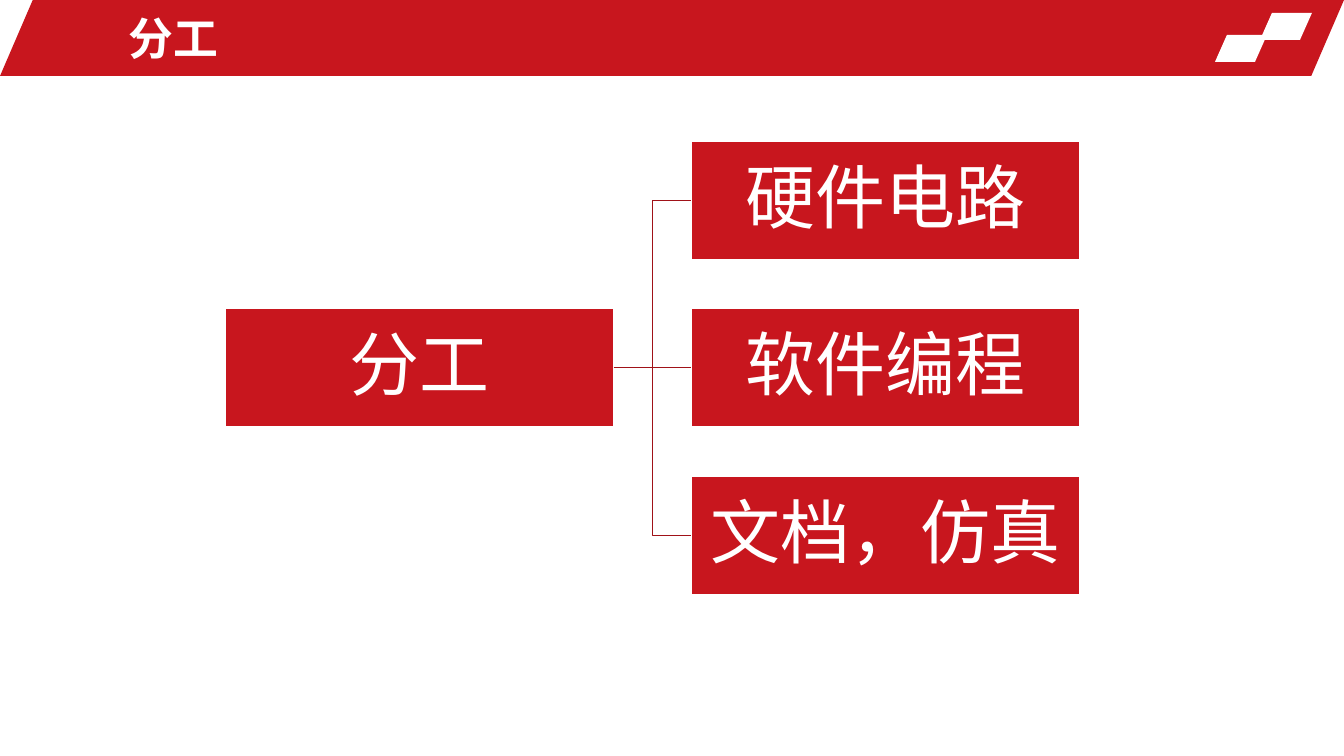
from pptx import Presentation
from pptx.dml.color import RGBColor
from pptx.enum.shapes import MSO_CONNECTOR, MSO_SHAPE
from pptx.enum.text import MSO_ANCHOR, PP_ALIGN
from pptx.oxml.ns import qn
from pptx.util import Pt
from lxml.etree import SubElement

SCALE = 914400 / 100.8
RED, DARK_RED, WHITE = "C8161E", "A01218", "FFFFFF"


def px(n):
    return round(n * SCALE)


def rgb(value):
    return RGBColor.from_string(value)


class Deck:
    """Holds the style and the current slide, and draws each kind of element."""

    font = "Arial"

    def __init__(self, prs):
        self.s = prs.slides.add_slide(prs.slide_layouts[6])

    def shape(self, kind, x, y, w, h, fill, line=None):
        sp = self.s.shapes.add_shape(kind, px(x), px(y), px(w), px(h))
        sp.shadow.inherit = False
        sp.fill.solid()
        sp.fill.fore_color.rgb = rgb(fill)
        if line:
            sp.line.color.rgb = rgb(line)
            sp.line.width = Pt(1)
        else:
            sp.line.fill.background()
        return sp

    def slant(self, x, y, w, h, fill, adj):
        sp = self.shape(MSO_SHAPE.PARALLELOGRAM, x, y, w, h, fill)
        sp.adjustments[0] = adj

    def label(self, sp, text, size, bold=False):
        tf = sp.text_frame
        tf.word_wrap = True
        tf.vertical_anchor = MSO_ANCHOR.MIDDLE
        tf.text = text
        p = tf.paragraphs[0]
        r = p.runs[0]
        r.font.name = self.font
        r.font.size = Pt(size)
        r.font.bold = bold
        r.font.color.rgb = rgb(WHITE)
        return tf

    def title(self, text, x, y, w, h):
        sp = self.s.shapes.add_textbox(px(x), px(y), px(w), px(h))
        self.label(sp, text, 32, bold=True)

    def box(self, text, x, y, w=389, h=119):
        sp = self.shape(MSO_SHAPE.RECTANGLE, x, y, w, h, RED, WHITE)
        tf = self.label(sp, text, 50)
        tf.margin_left = tf.margin_right = tf.margin_top = tf.margin_bottom = px(3)
        p = tf.paragraphs[0]
        p.alignment = PP_ALIGN.CENTER
        p.line_spacing = 0.9
        return sp

    def link(self, start, end):
        level = start.top == end.top
        kind = MSO_CONNECTOR.STRAIGHT if level else MSO_CONNECTOR.ELBOW
        cx = self.s.shapes.add_connector(kind, 0, 0, 0, 0)
        cx.begin_connect(start, 3)
        cx.end_connect(end, 1)
        cx.line.color.rgb = rgb(DARK_RED)
        cx.line.width = Pt(1)
        SubElement(cx._element.spPr, qn("a:effectLst"))


def main():
    prs = Presentation()
    prs.slide_width, prs.slide_height = px(1344), px(756)
    deck = Deck(prs)

    deck.slant(0, 0, 1344, 76, RED, 0.431)
    for x, y in ((1260, 13), (1215, 35)):
        deck.slant(x, y, 52, 27, WHITE, 0.444)
    deck.title("分工", 119, 5, 780, 66)

    top, pitch = 141, 167.5
    root = deck.box("分工", 225, int(top + pitch))
    for i, task in enumerate(("硬件电路", "软件编程", "文档，仿真")):
        deck.link(root, deck.box(task, 691, int(top + i * pitch)))

    prs.save("out.pptx")


if __name__ == "__main__":
    main()
